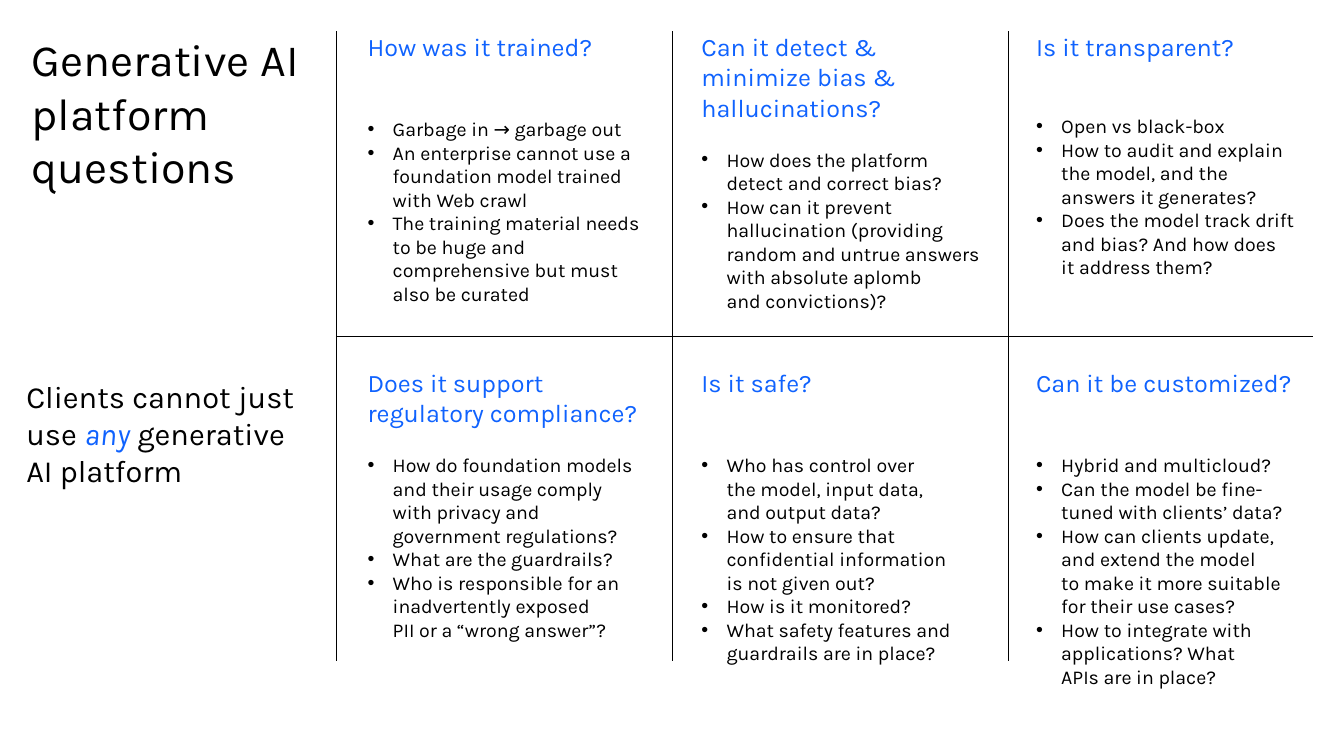
from copy import deepcopy
from dataclasses import dataclass

from lxml import etree
from pptx import Presentation
from pptx.dml.color import RGBColor
from pptx.enum import shapes, text
from pptx.oxml import ns
from pptx.util import Pt


@dataclass(frozen=True)
class Theme:
    """Colours, font and type sizes in points."""
    ink: RGBColor = RGBColor(0, 0, 0)
    accent: RGBColor = RGBColor(0x0F, 0x62, 0xFE)
    font: str = "Karla"
    headline: int = 64
    statement: int = 44
    question: int = 36
    point: int = 28
    leading: float = 1.2
    indent: int = 36
    rule: int = 1


THEME = Theme()
COLUMNS = [(525, 409), (1002, 412), (1480, 391)]
ROWS = [(45, 405), (525, 460)]
RULES = [(480, 480, 1876, 480)] + [(x, 45, x, 945) for x in (480, 960, 1440)]

CARDS = [
    ("How was it trained?", 79, [
        "Garbage in → garbage out",
        "An enterprise cannot use a foundation model trained with Web crawl",
        "The training material needs to be huge and comprehensive but must also be curated"]),
    ("Can it detect & minimize bias & hallucinations?", 36, [
        "How does the platform \vdetect and correct bias?",
        "How can it prevent hallucination (providing random and untrue answers "
        "with absolute aplomb \vand convictions)?"]),
    ("Is it transparent?", 75, [
        "Open vs black-box",
        "How to audit and explain the model, and the \vanswers it generates?",
        "Does the model track drift \vand bias? And how does \vit address them?"]),
    ("Does it support \vregulatory compliance?", 36, [
        "How do foundation models and their usage comply \vwith privacy and \vgovernment regulations?",
        "What are the guardrails?",
        "Who is responsible for an inadvertently exposed \vPII or a “wrong answer”?"]),
    ("Is it safe?", 79, [
        "Who has control over \vthe model, input data, \vand output data?",
        "How to ensure that confidential information\vis not given out?",
        "How is it monitored?",
        "What safety features and guardrails are in place?"]),
    ("Can it be customized?", 79, [
        "Hybrid and multicloud?",
        "Can the model be fine-\vtuned with clients’ data?",
        "How can clients update, \vand extend the model \vto make it more suitable \vfor their use cases?",
        "How to integrate with applications? What \vAPIs are in place?"]),
]


def extend_layout(layout, count):
    """Give the layout as many body placeholders as there are cards."""
    body = layout.placeholders[1].element
    for number in range(1, count):
        extra = deepcopy(body)
        extra.xpath(".//p:cNvPr")[0].set("id", str(100 + number))
        extra.xpath(".//p:ph")[0].set("idx", str(20 + number))
        body.getparent().append(extra)


def place(shape, box):
    """Fit a text shape to its box, without insets, and return its frame."""
    shape.left, shape.top, shape.width, shape.height = (Pt(v) for v in box)
    frame = shape.text_frame
    frame.margin_left = frame.margin_top = frame.margin_right = frame.margin_bottom = 0
    frame.word_wrap = True
    frame.auto_size = text.MSO_AUTO_SIZE.NONE
    frame.vertical_anchor = text.MSO_ANCHOR.TOP
    return frame


def style(paragraph, size, color, bullet=False, after=0):
    """Set spacing, indent, bullet and font of a paragraph."""
    paragraph.alignment = text.PP_ALIGN.LEFT
    paragraph.line_spacing = Pt(size * THEME.leading)
    paragraph.space_before = Pt(0)
    paragraph.space_after = Pt(after)
    props = paragraph._p.get_or_add_pPr()
    indent = Pt(THEME.indent) if bullet else 0
    props.set("marL", str(indent))
    props.set("indent", str(-indent))
    if bullet:
        tint = etree.SubElement(props, ns.qn("a:buClr"))
        etree.SubElement(tint, ns.qn("a:srgbClr"), val=str(color))
        etree.SubElement(props, ns.qn("a:buFont"), typeface="Arial")
        etree.SubElement(props, ns.qn("a:buChar"), char="•")
    else:
        etree.SubElement(props, ns.qn("a:buNone"))
    paragraph.font.name = THEME.font
    paragraph.font.size = Pt(size)
    paragraph.font.color.rgb = color


def add_headline(slide, box):
    """Add the large heading at the top left."""
    frame = place(slide.shapes.add_textbox(0, 0, 0, 0), box)
    frame.text = "Generative AI platform questions"
    style(frame.paragraphs[0], THEME.headline, THEME.ink)


def fill_statement(title, box):
    """Write the statement with its accented word in the title."""
    statement = place(title, box).paragraphs[0]
    style(statement, THEME.statement, THEME.ink)
    statement.add_run().text = "Clients cannot just use "
    stress = statement.add_run()
    stress.text = "any"
    stress.font.italic = True
    stress.font.color.rgb = THEME.accent
    statement.add_run().text = " generative "
    statement.add_line_break()
    statement.add_run().text = "AI platform"


def fill_card(body, box, question, gap, points):
    """Write a question and its bulleted points in a body placeholder."""
    frame = place(body, box)
    frame.text = question
    style(frame.paragraphs[0], THEME.question, THEME.accent, after=gap)
    for point in points:
        paragraph = frame.add_paragraph()
        paragraph.text = point
        style(paragraph, THEME.point, THEME.ink, bullet=True)


def add_rule(slide, ends):
    """Draw one line of the grid."""
    rule = slide.shapes.add_connector(
        shapes.MSO_CONNECTOR.STRAIGHT, *(Pt(v) for v in ends))
    rule.line.color.rgb = THEME.ink
    rule.line.width = Pt(THEME.rule)
    etree.SubElement(rule._element.spPr, ns.qn("a:effectLst"))


def main():
    """Build the slide and save it."""
    deck = Presentation()
    deck.slide_width, deck.slide_height = Pt(1920), Pt(1080)
    layout = deck.slide_layouts[1]
    extend_layout(layout, len(CARDS))
    slide = deck.slides.add_slide(layout)
    title, *bodies = slide.placeholders
    fill_statement(title, (37.5, 540, 390, 168))
    for number, (body, card) in enumerate(zip(bodies, CARDS)):
        row, column = divmod(number, len(COLUMNS))
        left, width = COLUMNS[column]
        top, height = ROWS[row]
        fill_card(body, (left, top, width, height), *card)
    for ends in RULES:
        add_rule(slide, ends)
    add_headline(slide, (45, 45, 390, 302))
    deck.save("out.pptx")


if __name__ == "__main__":
    main()
